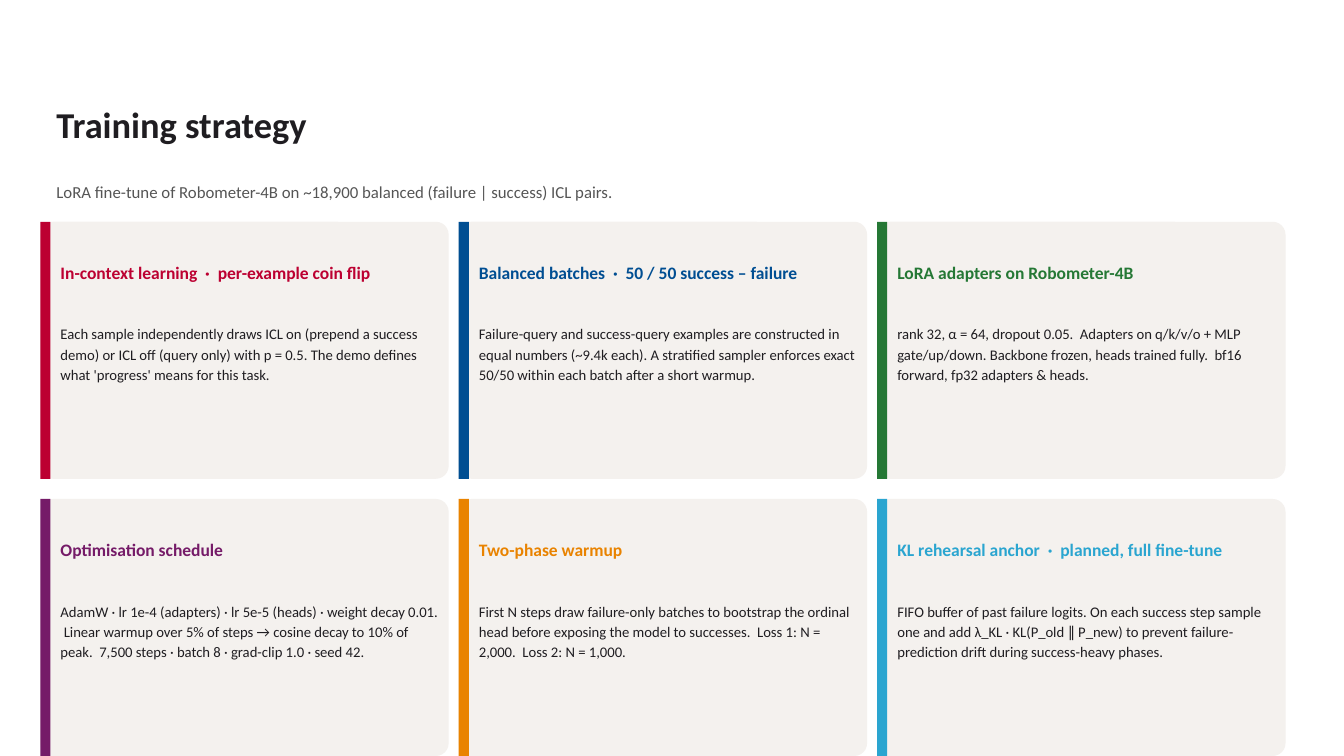
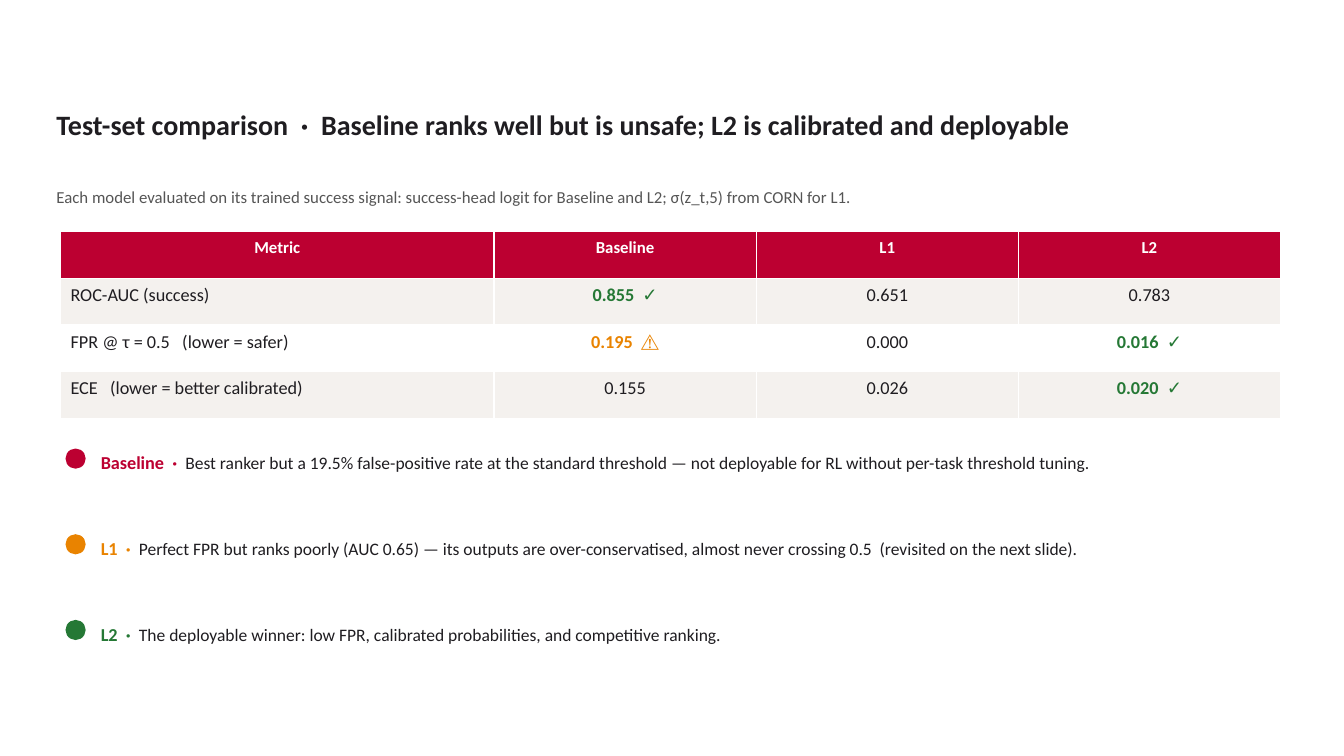
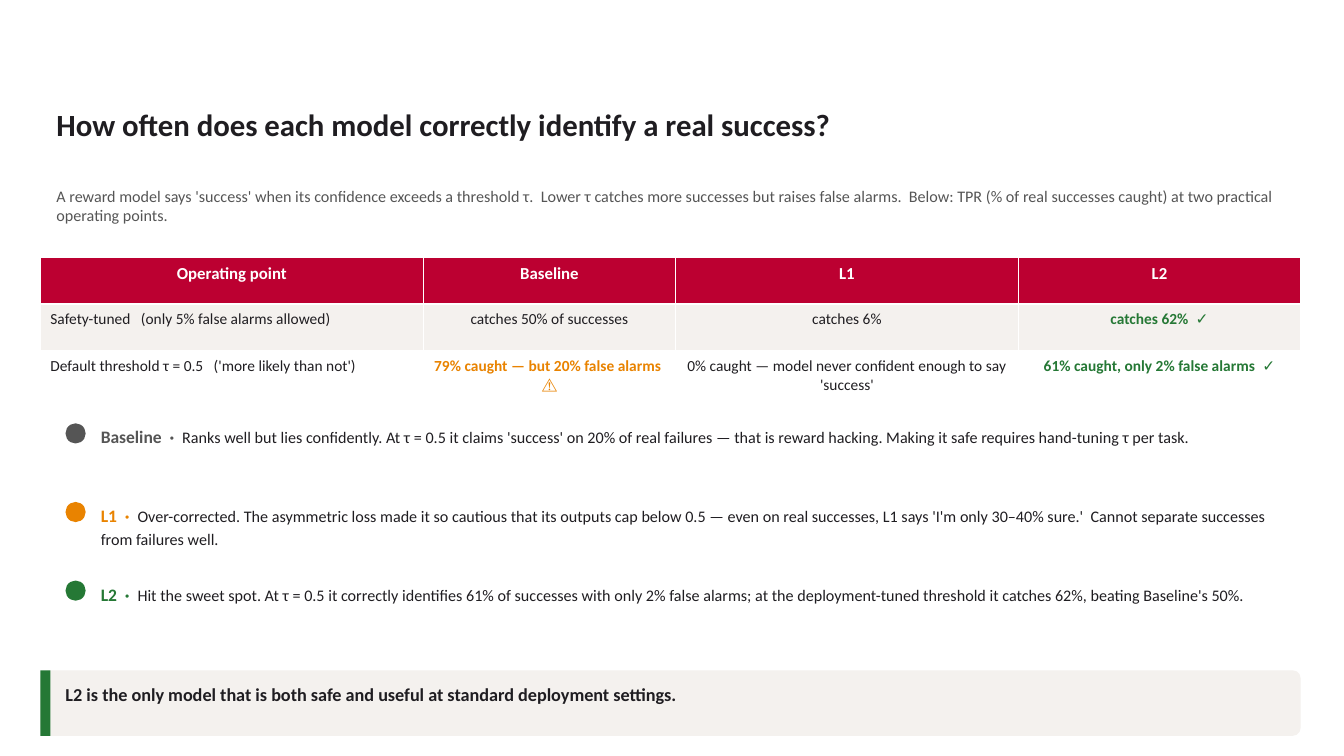
from dataclasses import dataclass

from pptx import Presentation
from pptx.dml.color import RGBColor
from pptx.enum import shapes, text
from pptx.util import Inches, Pt

FONT = "Calibri"
INK, GREY, PANEL, WHITE = "1F1D21", "555555", "F4F1EE", "FFFFFF"
RED, BLUE, GREEN = "BC0031", "004E92", "257835"
PURPLE, ORANGE, SKY = "751B68", "E98300", "2AA5D0"
MARK_COLOURS = {"✓": GREEN, "⚠": ORANGE}


@dataclass
class Run:
    text: str
    size: float
    colour: str = INK
    bold: bool = False


@dataclass
class Card:
    heading: str
    body: str
    colour: str


@dataclass
class Verdict:
    model: str
    finding: str
    colour: str


def rgb(value: str) -> RGBColor:
    return RGBColor.from_string(value)


def write(p, runs: list[Run], spacing: float | None = None) -> None:
    """Fill one paragraph with formatted runs."""
    if spacing:
        p.line_spacing = spacing
    for run in runs:
        r = p.add_run()
        r.text = run.text
        r.font.name = FONT
        r.font.size = Pt(run.size)
        r.font.bold = run.bold
        r.font.color.rgb = rgb(run.colour)


def clear_insets(tf) -> None:
    tf.margin_left = tf.margin_right = tf.margin_top = tf.margin_bottom = 0
    tf.word_wrap = True
    tf.auto_size = text.MSO_AUTO_SIZE.NONE


def box(s, left: float, top: float, width: float, height: float,
        runs: list[Run], spacing: float | None = None) -> None:
    sp = s.shapes.add_textbox(Inches(left), Inches(top), Inches(width), Inches(height))
    clear_insets(sp.text_frame)
    write(sp.text_frame.paragraphs[0], runs, spacing)


def shape(s, kind, left: float, top: float, width: float, height: float, colour: str):
    sp = s.shapes.add_shape(kind, Inches(left), Inches(top), Inches(width), Inches(height))
    sp.shadow.inherit = False
    sp.fill.solid()
    sp.fill.fore_color.rgb = rgb(colour)
    sp.line.fill.background()
    return sp


def panel(s, left: float, top: float, width: float, height: float,
          colour: str, rounding: float) -> None:
    """Rounded panel with a coloured bar on its left edge."""
    sp = shape(s, shapes.MSO_SHAPE.ROUNDED_RECTANGLE, left, top, width, height, PANEL)
    sp.adjustments[0] = rounding
    shape(s, shapes.MSO_SHAPE.RECTANGLE, left, top, 0.1, height, colour)


def new_slide(prs, title: str, title_size: float, subtitle: str,
              subtitle_top: float, subtitle_height: float = 0.3, subtitle_size: float = 12):
    s = prs.slides.add_slide(prs.slide_layouts[5])
    sp = s.shapes.title
    sp.left, sp.top, sp.width, sp.height = (Inches(v) for v in (0.56, 0.77, 12.2, 0.97))
    tf = sp.text_frame
    clear_insets(tf)
    tf.vertical_anchor = text.MSO_ANCHOR.MIDDLE
    p = tf.paragraphs[0]
    p.alignment = text.PP_ALIGN.LEFT
    write(p, [Run(title, title_size, bold=True)], 0.9)
    box(s, 0.56, subtitle_top, 12.2, subtitle_height, [Run(subtitle, subtitle_size, GREY)])
    return s


def card_grid(s, cards: list[Card], columns: int = 3) -> None:
    width, height = 4.05, 2.55
    for i, card in enumerate(cards):
        row, column = divmod(i, columns)
        left = 0.4 + column * (width + 0.1)
        top = 2.2 + row * (height + 0.2)
        panel(s, left, top, width, height, card.colour, 0.05)
        box(s, left + 0.2, top + 0.4, 3.75, 0.55, [Run(card.heading, 12.5, card.colour, True)])
        box(s, left + 0.2, top + 1, 3.75, 1.45, [Run(card.body, 10.5)], 1.15)


def table(s, left: float, top: float, height: float, widths: list[float],
          rows: list[list[str]], size: float) -> None:
    """Header row in red, banded rows below; a closing mark colours its cell."""
    tbl = s.shapes.add_table(len(rows), len(widths), Inches(left), Inches(top),
                             Inches(sum(widths)), Inches(height)).table
    for column, width in zip(tbl.columns, widths):
        column.width = Inches(width)
    for i, row in enumerate(rows):
        for j, value in enumerate(row):
            cell = tbl.cell(i, j)
            cell.margin_top = cell.margin_bottom = Inches(0.06)
            cell.fill.solid()
            cell.fill.fore_color.rgb = rgb(RED if i == 0 else PANEL if i % 2 else WHITE)
            p = cell.text_frame.paragraphs[0]
            if i == 0 or j > 0:
                p.alignment = text.PP_ALIGN.CENTER
            mark = MARK_COLOURS.get(value[-1])
            if i == 0:
                run = Run(value, 12, WHITE, True)
            else:
                run = Run(value, size, mark or INK, mark is not None)
            write(p, [run])


def verdict_list(s, verdicts: list[Verdict], top: float, pitch: float,
                 height: float, model_size: float, finding_size: float) -> None:
    for i, v in enumerate(verdicts):
        y = top + i * pitch
        shape(s, shapes.MSO_SHAPE.OVAL, 0.65, y, 0.2, 0.2, v.colour)
        box(s, 1, y, 11.8, height, [Run(f"{v.model}  ·  ", model_size, v.colour, True),
                                    Run(v.finding, finding_size)], 1.15)


def training_slide(prs) -> None:
    s = new_slide(prs, "Training strategy", 26,
                  "LoRA fine-tune of Robometer-4B on ~18,900 balanced (failure | success) ICL pairs.",
                  1.8)
    card_grid(s, [
        Card("In-context learning  ·  per-example coin flip",
             "Each sample independently draws ICL on (prepend a success demo) or ICL off "
             "(query only) with p = 0.5. The demo defines what 'progress' means for this task.",
             RED),
        Card("Balanced batches  ·  50 / 50 success – failure",
             "Failure-query and success-query examples are constructed in equal numbers "
             "(~9.4k each). A stratified sampler enforces exact 50/50 within each batch "
             "after a short warmup.", BLUE),
        Card("LoRA adapters on Robometer-4B",
             "rank 32, α = 64, dropout 0.05.  Adapters on q/k/v/o + MLP gate/up/down. "
             "Backbone frozen, heads trained fully.  bf16 forward, fp32 adapters & heads.",
             GREEN),
        Card("Optimisation schedule",
             "AdamW · lr 1e-4 (adapters) · lr 5e-5 (heads) · weight decay 0.01.  Linear "
             "warmup over 5% of steps → cosine decay to 10% of peak.  7,500 steps · "
             "batch 8 · grad-clip 1.0 · seed 42.", PURPLE),
        Card("Two-phase warmup",
             "First N steps draw failure-only batches to bootstrap the ordinal head before "
             "exposing the model to successes.  Loss 1: N = 2,000.  Loss 2: N = 1,000.",
             ORANGE),
        Card("KL rehearsal anchor  ·  planned, full fine-tune",
             "FIFO buffer of past failure logits. On each success step sample one and add "
             "λ_KL · KL(P_old ∥ P_new) to prevent failure-prediction drift during "
             "success-heavy phases.", SKY),
    ])


def comparison_slide(prs) -> None:
    s = new_slide(prs, "Test-set comparison  ·  Baseline ranks well but is unsafe; "
                  "L2 is calibrated and deployable", 20,
                  "Each model evaluated on its trained success signal: success-head logit "
                  "for Baseline and L2; σ(z_t,5) from CORN for L1.", 1.85)
    table(s, 0.6, 2.3, 1.85, [4.3, 2.6, 2.6, 2.6], [
        ["Metric", "Baseline", "L1", "L2"],
        ["ROC-AUC (success)", "0.855  ✓", "0.651", "0.783"],
        ["FPR @ τ = 0.5   (lower = safer)", "0.195  ⚠", "0.000", "0.016  ✓"],
        ["ECE   (lower = better calibrated)", "0.155", "0.026", "0.020  ✓"],
    ], 13)
    verdict_list(s, [
        Verdict("Baseline", "Best ranker but a 19.5% false-positive rate at the standard "
                "threshold — not deployable for RL without per-task threshold tuning.", RED),
        Verdict("L1", "Perfect FPR but ranks poorly (AUC 0.65) — its outputs are "
                "over-conservatised, almost never crossing 0.5  (revisited on the next slide).",
                ORANGE),
        Verdict("L2", "The deployable winner: low FPR, calibrated probabilities, and "
                "competitive ranking.", GREEN),
    ], 4.45, 0.85, 0.6, 13, 12.5)


def detection_slide(prs) -> None:
    s = new_slide(prs, "How often does each model correctly identify a real success?", 22,
                  "A reward model says 'success' when its confidence exceeds a threshold τ.  "
                  "Lower τ catches more successes but raises false alarms.  Below: TPR (% of "
                  "real successes caught) at two practical operating points.", 1.85, 0.55, 11.5)
    table(s, 0.4, 2.55, 1.4, [3.8, 2.5, 3.4, 2.8], [
        ["Operating point", "Baseline", "L1", "L2"],
        ["Safety-tuned   (only 5% false alarms allowed)", "catches 50% of successes",
         "catches 6%", "catches 62%  ✓"],
        ["Default threshold τ = 0.5   ('more likely than not')",
         "79% caught — but 20% false alarms  ⚠",
         "0% caught — model never confident enough to say 'success'",
         "61% caught, only 2% false alarms  ✓"],
    ], 11)
    verdict_list(s, [
        Verdict("Baseline", "Ranks well but lies confidently. At τ = 0.5 it claims 'success' "
                "on 20% of real failures — that is reward hacking. Making it safe requires "
                "hand-tuning τ per task.", GREY),
        Verdict("L1", "Over-corrected. The asymmetric loss made it so cautious that its "
                "outputs cap below 0.5 — even on real successes, L1 says 'I'm only 30–40% "
                "sure.'  Cannot separate successes from failures well.", ORANGE),
        Verdict("L2", "Hit the sweet spot. At τ = 0.5 it correctly identifies 61% of "
                "successes with only 2% false alarms; at the deployment-tuned threshold it "
                "catches 62%, beating Baseline's 50%.", GREEN),
    ], 4.2, 0.78, 0.65, 12.5, 11.5)
    # Closing takeaway
    panel(s, 0.4, 6.65, 12.5, 0.65, GREEN, 0.12)
    box(s, 0.65, 6.78, 12.2, 0.4,
        [Run("L2 is the only model that is both safe and useful at standard deployment "
             "settings.", 13, bold=True)])


def main() -> None:
    prs = Presentation()
    prs.slide_width, prs.slide_height = Inches(13.33), Inches(7.5)
    training_slide(prs)
    comparison_slide(prs)
    detection_slide(prs)
    prs.save("out.pptx")


if __name__ == "__main__":
    main()
